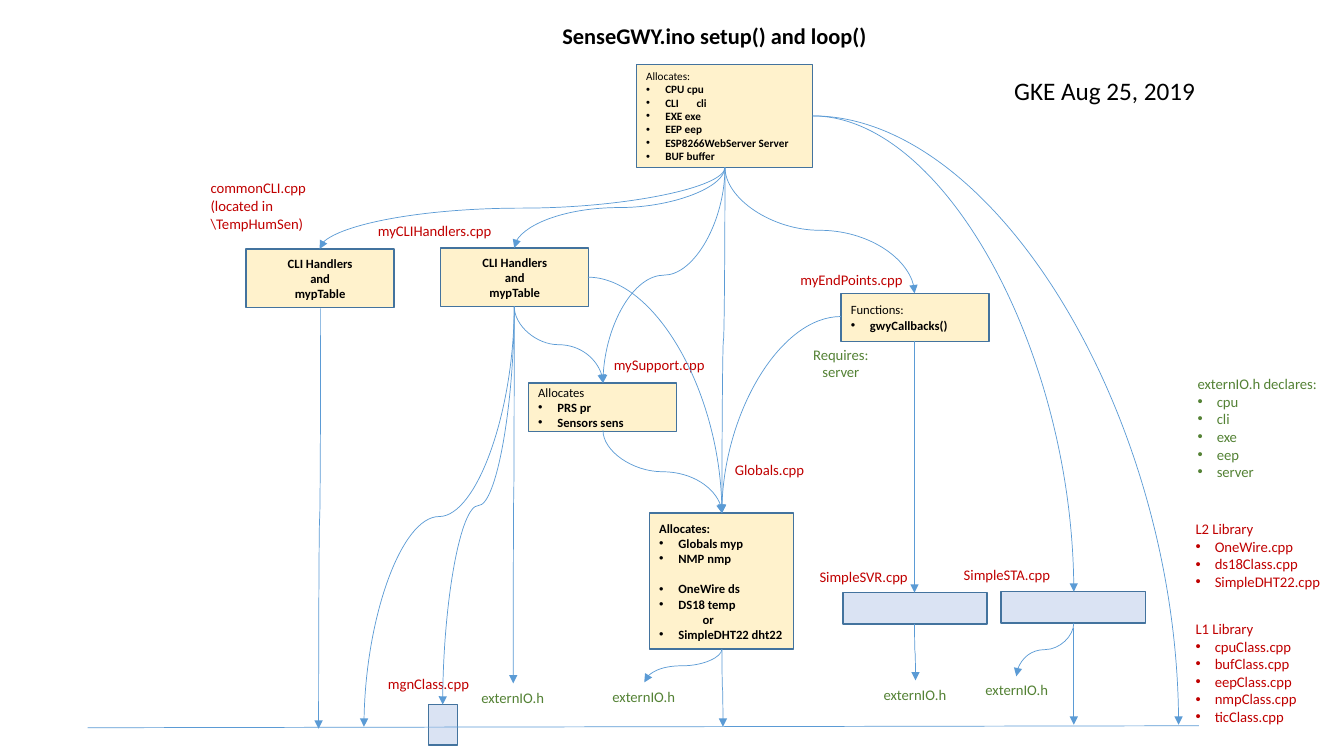
from lxml import etree
from pptx import Presentation
from pptx.dml.color import RGBColor
from pptx.enum import shapes, text
from pptx.oxml import ns
from pptx.util import Inches, Pt

COLORS = {"black": "000000", "red": "C00000", "green": "548235", "cream": "FFF2CC",
          "pale": "DAE3F3", "outline": "43739E", "arrow": "5B9BD5"}
BULLET = "• "
INDENT = 0.19


def rgb(name):
    return RGBColor.from_string(COLORS[name])


def indent(paragraph, left, hanging=0):
    properties = paragraph._p.get_or_add_pPr()
    properties.set("marL", str(Inches(left)))
    properties.set("indent", str(-Inches(hanging)))
    return properties


def add_bullet(paragraph):
    properties = indent(paragraph, INDENT, INDENT)
    etree.SubElement(properties, ns.qn("a:buFont"), typeface="Arial")
    etree.SubElement(properties, ns.qn("a:buChar"), char="•")
    if "\t" in paragraph.text:
        stops = etree.SubElement(properties, ns.qn("a:tabLst"))
        etree.SubElement(stops, ns.qn("a:tab"), pos=str(Inches(0.31)), algn="l")


def write(frame, lines, size, color, centered=False, bold=False, bold_bullets=False):
    """Fill a text frame; lines that begin with BULLET become list items."""
    for index, line in enumerate(lines):
        paragraph = frame.paragraphs[0] if index == 0 else frame.add_paragraph()
        is_item = line.startswith(BULLET)
        paragraph.text = line.removeprefix(BULLET)
        paragraph.alignment = text.PP_ALIGN.CENTER if centered else text.PP_ALIGN.LEFT
        if is_item:
            add_bullet(paragraph)
        for run in paragraph.runs:
            run.font.name = "Calibri"
            run.font.size = Pt(size)
            run.font.bold = bold or (is_item and bold_bullets)
            run.font.color.rgb = rgb(color)


def add_box(slide, left, top, width, height, fill="cream", lines=(), size=9, **style):
    box = slide.shapes.add_shape(shapes.MSO_SHAPE.RECTANGLE, Inches(left), Inches(top),
                                 Inches(width), Inches(height))
    box.shadow.inherit = False
    box.fill.solid()
    box.fill.fore_color.rgb = rgb(fill)
    box.line.color.rgb = rgb("outline")
    box.line.width = Pt(1)
    box.text_frame.vertical_anchor = text.MSO_ANCHOR.MIDDLE
    write(box.text_frame, lines, size, "black", **style)
    return box


def add_label(slide, lines, left, top, width, height=0.28, color="red", size=10.5,
              wrap=True, **style):
    label = slide.shapes.add_textbox(Inches(left), Inches(top), Inches(width), Inches(height))
    label.text_frame.word_wrap = wrap
    write(label.text_frame, lines, size, color, **style)


def add_line(slide, kind, start, end, arrow=True):
    points = [Inches(value) for value in (*start, *end)]
    line = slide.shapes.add_connector(kind, *points)
    line.line.color.rgb = rgb("arrow")
    line.line.width = Pt(0.5)
    if arrow:
        etree.SubElement(line.line._get_or_add_ln(), ns.qn("a:tailEnd"), type="triangle")
    etree.SubElement(line._element.spPr, ns.qn("a:effectLst"))
    return line


def add_drop(slide, start, end):
    """S-curve that leaves and arrives vertically: a horizontal one, turned."""
    (x1, y1), (x2, y2) = start, end
    center_x, center_y = (x1 + x2) / 2, (y1 + y2) / 2
    half_length, half_shift = (y2 - y1) / 2, abs(x2 - x1) / 2
    rightward = x2 > x1
    if rightward:
        half_length = -half_length
    line = add_line(slide, shapes.MSO_CONNECTOR.CURVE,
                    (center_x - half_length, center_y - half_shift),
                    (center_x + half_length, center_y + half_shift))
    turn = 270 if rightward else 90
    line._element.spPr.find(ns.qn("a:xfrm")).set("rot", str(turn * 60000))


def add_arc(slide, start, end):
    """Quarter curve that leaves sideways and arrives vertically."""
    line = add_line(slide, shapes.MSO_CONNECTOR.CURVE, start, end)
    line._element.spPr.find(ns.qn("a:prstGeom")).set("prst", "curvedConnector2")


def items(*names):
    return [BULLET + name for name in names]


def add_boxes(slide):
    add_box(slide, 6.31, 0.64, 1.75, 1.02, size=8, bold_bullets=True,
            lines=["Allocates:", *items("CPU cpu", "CLI\tcli", "EXE exe", "EEP eep",
                                        "ESP8266WebServer Server", "BUF buffer")])
    for left, top in ((2.44, 2.47), (4.37, 2.46)):
        add_box(slide, left, top, 1.47, 0.58, centered=True, bold=True,
                lines=["CLI Handlers", "and", "mypTable"])
    add_box(slide, 8.34, 2.91, 1.47, 0.48, bold_bullets=True,
            lines=["Functions:", *items("gwyCallbacks()")])
    add_box(slide, 5.24, 3.8, 1.47, 0.48, bold_bullets=True,
            lines=["Allocates", *items("PRS pr", "Sensors sens")])
    allocations = add_box(
        slide, 6.44, 5.09, 1.43, 1.35, bold=True,
        lines=["Allocates:", *items("Globals myp", "NMP nmp", "OneWire ds", "DS18 temp"),
               "or", *items("SimpleDHT22 dht22")])
    paragraphs = allocations.text_frame.paragraphs
    paragraphs[3].space_before = Pt(11)
    indent(paragraphs[5], 0.43)

    # Library modules
    for left, top, width, height in ((8.36, 5.88, 1.43, 0.31), (9.93, 5.87, 1.43, 0.31),
                                     (4.25, 6.99, 0.29, 0.4)):
        add_box(slide, left, top, width, height, fill="pale")


def add_labels(slide):
    add_label(slide, ["SenseGWY.ino setup() and loop()"], 5.48, 0.17, 3.26, 0.37,
              color="black", size=16, wrap=False, bold=True)
    add_label(slide, ["GKE Aug 25, 2019 "], 9.96, 0.7, 2.08, 0.4,
              color="black", size=18, wrap=False)

    # Source file names
    for name, left, top, width in (
            ("myEndPoints.cpp", 7.84, 2.64, 1.47), ("Globals.cpp", 7.19, 4.52, 0.98),
            ("myCLIHandlers.cpp", 3.65, 2.15, 1.62), ("mySupport.cpp", 5.99, 3.48, 1.47),
            ("SimpleSVR.cpp", 8.03, 5.58, 1.09), ("SimpleSTA.cpp", 9.46, 5.56, 1.09),
            ("mgnClass.cpp", 3.75, 6.65, 1.17)):
        add_label(slide, [name], left, top, width)
    add_label(slide, ["commonCLI.cpp", "(located in \\TempHumSen)"], 1.99, 1.73, 1.25, 0.63)

    # Header references
    for left, top in ((4.52, 6.78), (5.82, 6.77), (8.51, 6.75), (9.52, 6.71)):
        add_label(slide, ["externIO.h"], left, top, 1.13, color="green", centered=True)
    add_label(slide, ["Requires:", "server"], 7.94, 3.38, 0.8, 0.45,
              color="green", centered=True)

    # Lists at the right edge
    add_label(slide, ["externIO.h declares:", *items("cpu", "cli", "exe", "eep", "server")],
              11.78, 3.67, 1.57, 1.16, color="green")
    add_label(slide, ["L2 Library", *items("OneWire.cpp", "ds18Class.cpp", "SimpleDHT22.cpp")],
              11.76, 5.11, 1.57, 0.98)
    add_label(slide, ["L1 Library", *items("cpuClass.cpp", "bufClass.cpp", "eepClass.cpp",
                                           "nmpClass.cpp", "ticClass.cpp")],
              11.76, 6.1, 1.4, 1.34)


def add_arrows(slide):
    sketch_bottom, sketch_side = (7.19, 1.66), (8.06, 1.15)
    handlers_bottom, support_top = (5.1, 3.04), (5.98, 3.8)
    globals_top, globals_bottom = (7.16, 5.09), (7.16, 6.44)

    drops = {
        sketch_bottom: [(3.17, 2.47), (5.1, 2.46), support_top, globals_top, (9.07, 2.91)],
        handlers_bottom: [(3.61, 7.21), (4.39, 6.99), (5.09, 6.78), support_top],
        globals_bottom: [(6.39, 6.77), (7.17, 7.21)],
        (3.18, 3.06): [(3.16, 7.23)],
        (5.98, 4.27): [globals_top],
        (9.07, 3.38): [(9.07, 5.88)],
        (9.07, 6.19): [(9.08, 6.75)],
        (10.65, 6.18): [(10.08, 6.71)],
        (10.65, 6.23): [(10.65, 7.19)],
    }
    for start, ends in drops.items():
        for end in ends:
            add_drop(slide, start, end)

    for start, end in ((sketch_side, (10.65, 5.87)), (sketch_side, (11.69, 7.19)),
                       ((8.34, 3.14), globals_top), ((5.83, 2.75), globals_top)):
        add_arc(slide, start, end)

    # Library baseline
    add_line(slide, shapes.MSO_CONNECTOR.STRAIGHT, (0.87, 7.22), (11.89, 7.2), arrow=False)


def main():
    presentation = Presentation()
    presentation.slide_width, presentation.slide_height = Inches(13.33), Inches(7.5)
    slide = presentation.slides.add_slide(presentation.slide_layouts[6])
    add_boxes(slide)
    add_labels(slide)
    add_arrows(slide)
    presentation.save("out.pptx")


main()
